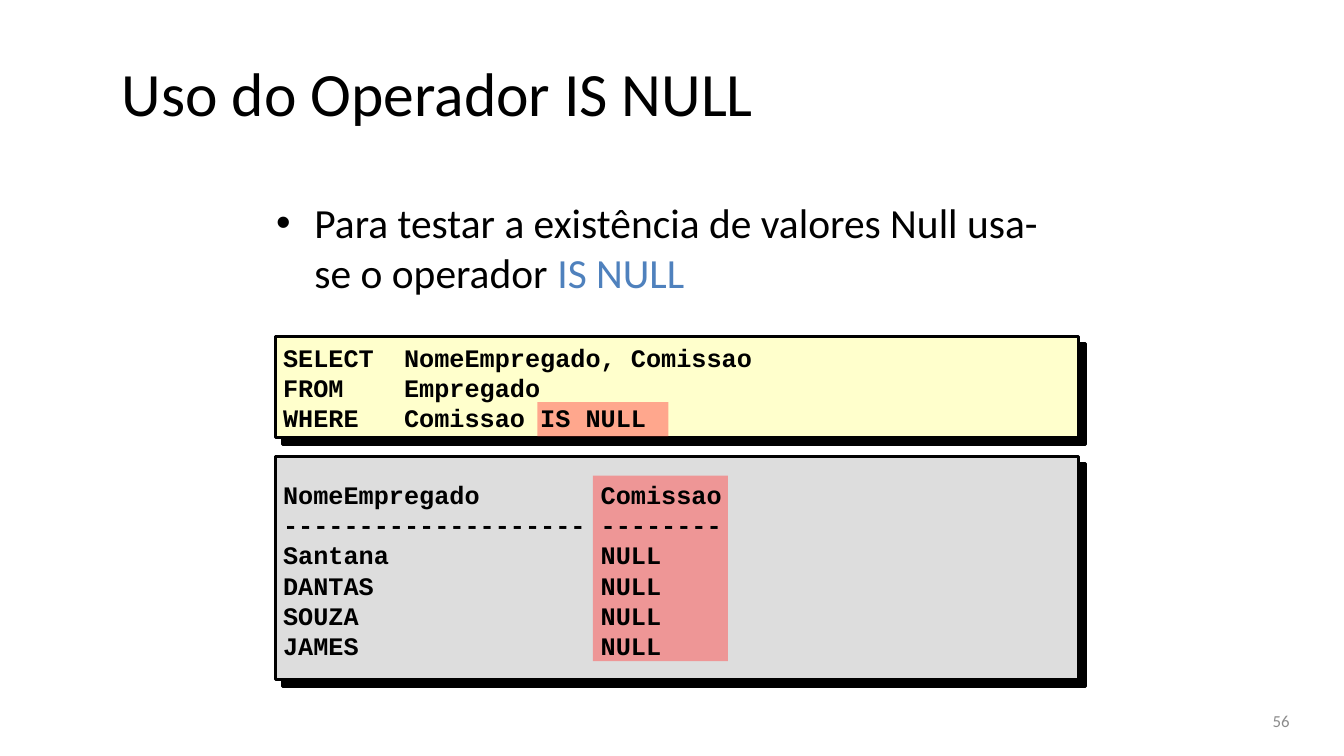
from dataclasses import dataclass
from typing import Optional

from lxml import etree
from pptx import Presentation
from pptx.dml.color import RGBColor
from pptx.enum.shapes import MSO_SHAPE
from pptx.enum.text import MSO_ANCHOR, PP_ALIGN
from pptx.oxml.ns import qn
from pptx.util import Inches, Pt

RECTANGLE = MSO_SHAPE.RECTANGLE
TOP, MIDDLE = MSO_ANCHOR.TOP, MSO_ANCHOR.MIDDLE
LEFT, RIGHT = PP_ALIGN.LEFT, PP_ALIGN.RIGHT


@dataclass(frozen=True)
class Theme:
    text_font: str = "Calibri"
    code_font: str = "Courier New"
    ink: str = "000000"
    accent: str = "4F81BD"
    muted: str = "8C8C8C"
    query_fill: str = "FFFFCC"
    result_fill: str = "DDDDDD"
    highlight: str = "FF5050"
    title_size: float = 44
    body_size: float = 29.6
    code_size: float = 18
    number_size: float = 12


@dataclass(frozen=True)
class Area:
    left: float
    top: float
    width: float
    height: float

    def lengths(self) -> list:
        return [Inches(v) for v in (self.left, self.top, self.width, self.height)]


@dataclass(frozen=True)
class Span:
    text: str
    color: str


@dataclass(frozen=True)
class CodePanel:
    panel: Area
    fill: str
    text: Area
    tab: float
    lines: tuple
    highlight: Area


THEME = Theme()

PANELS = (
    CodePanel(
        Area(2.73, 3.34, 7.97, 1), THEME.query_fill, Area(2.71, 3.33, 8, 1.03), 1.2,
        ("SELECT\tNomeEmpregado, Comissao", "FROM\tEmpregado", "WHERE\tComissao IS NULL"),
        Area(5.33, 3.99, 1.3, 0.34),
    ),
    CodePanel(
        Area(2.73, 4.53, 7.97, 2.21), THEME.result_fill, Area(2.71, 4.77, 8, 1.77), 3.15,
        (
            "NomeEmpregado\tComissao",
            "-" * 20 + "\t" + "-" * 8,
            *(f"{name}\tNULL" for name in ("Santana", "DANTAS", "SOUZA", "JAMES")),
        ),
        Area(5.88, 4.72, 1.34, 1.84),
    ),
)


def add_rectangle(page, area: Area, fill: str):
    box = page.shapes.add_shape(RECTANGLE, *area.lengths())
    box.fill.solid()
    box.fill.fore_color.rgb = RGBColor.from_string(fill)
    box.line.fill.background()
    box.shadow.inherit = False
    return box


def add_panel(page, area: Area, fill: str) -> None:
    box = add_rectangle(page, area, fill)
    box.line.color.rgb = RGBColor.from_string(THEME.ink)
    box.line.width = Pt(2)
    effects = box.element.spPr.find(qn("a:effectLst"))
    shadow = etree.SubElement(
        effects, qn("a:outerShdw"), blurRad="0", dist=str(Pt(7.1)),
        dir=str(45 * 60000), algn="ctr", rotWithShape="0",
    )
    etree.SubElement(shadow, qn("a:srgbClr"), val=THEME.ink)


def add_highlight(page, area: Area) -> None:
    box = add_rectangle(page, area, THEME.highlight)
    color = box.element.spPr.find(qn("a:solidFill")).find(qn("a:srgbClr"))
    etree.SubElement(color, qn("a:alpha"), val="50000")


def add_text(page, area: Area, lines: list[list[Span]], *, size: float,
             font: str = THEME.text_font, bold: bool = False, anchor=MIDDLE,
             align=LEFT, bullet: bool = False, tab: Optional[float] = None) -> None:
    frame = page.shapes.add_textbox(*area.lengths()).text_frame
    frame.word_wrap = True
    frame.vertical_anchor = anchor
    for index, spans in enumerate(lines):
        para = frame.add_paragraph() if index else frame.paragraphs[0]
        para.alignment = align
        for span in spans:
            run = para.add_run()
            run.text = span.text
            run.font.name = font
            run.font.size = Pt(size)
            run.font.bold = bold
            run.font.color.rgb = RGBColor.from_string(span.color)
        properties = para._p.get_or_add_pPr()
        if bullet:
            para.space_before = Pt(size * 0.2)
            properties.set("marL", str(Inches(0.38)))
            properties.set("indent", str(-Inches(0.38)))
            etree.SubElement(properties, qn("a:buFont"), typeface="Arial")
            etree.SubElement(properties, qn("a:buChar"), char="•")
        if tab is not None:
            stops = etree.SubElement(properties, qn("a:tabLst"))
            etree.SubElement(stops, qn("a:tab"), pos=str(Inches(tab)), algn="l")


def main() -> None:
    deck = Presentation()
    deck.slide_width, deck.slide_height = Inches(13.33), Inches(7.5)
    page = deck.slides.add_slide(deck.slide_layouts[6])

    for code in PANELS:
        add_panel(page, code.panel, code.fill)
    add_text(page, Area(1.11, 0.29, 11.78, 1.25),
             [[Span("Uso do Operador IS NULL", THEME.ink)]], size=THEME.title_size)
    add_text(page, Area(2.64, 1.91, 8.08, 0.99),
             [[Span("Para testar a existência de valores Null usa-se o operador ", THEME.ink),
               Span("IS NULL", THEME.accent)]],
             size=THEME.body_size, anchor=TOP, bullet=True)
    for code in PANELS:
        add_highlight(page, code.highlight)
    for code in PANELS:
        add_text(page, code.text, [[Span(line, THEME.ink)] for line in code.lines],
                 size=THEME.code_size, font=THEME.code_font, bold=True, tab=code.tab)
    add_text(page, Area(9.78, 6.95, 3.11, 0.4), [[Span("56", THEME.muted)]],
             size=THEME.number_size, align=RIGHT)

    deck.save("out.pptx")


if __name__ == "__main__":
    main()
